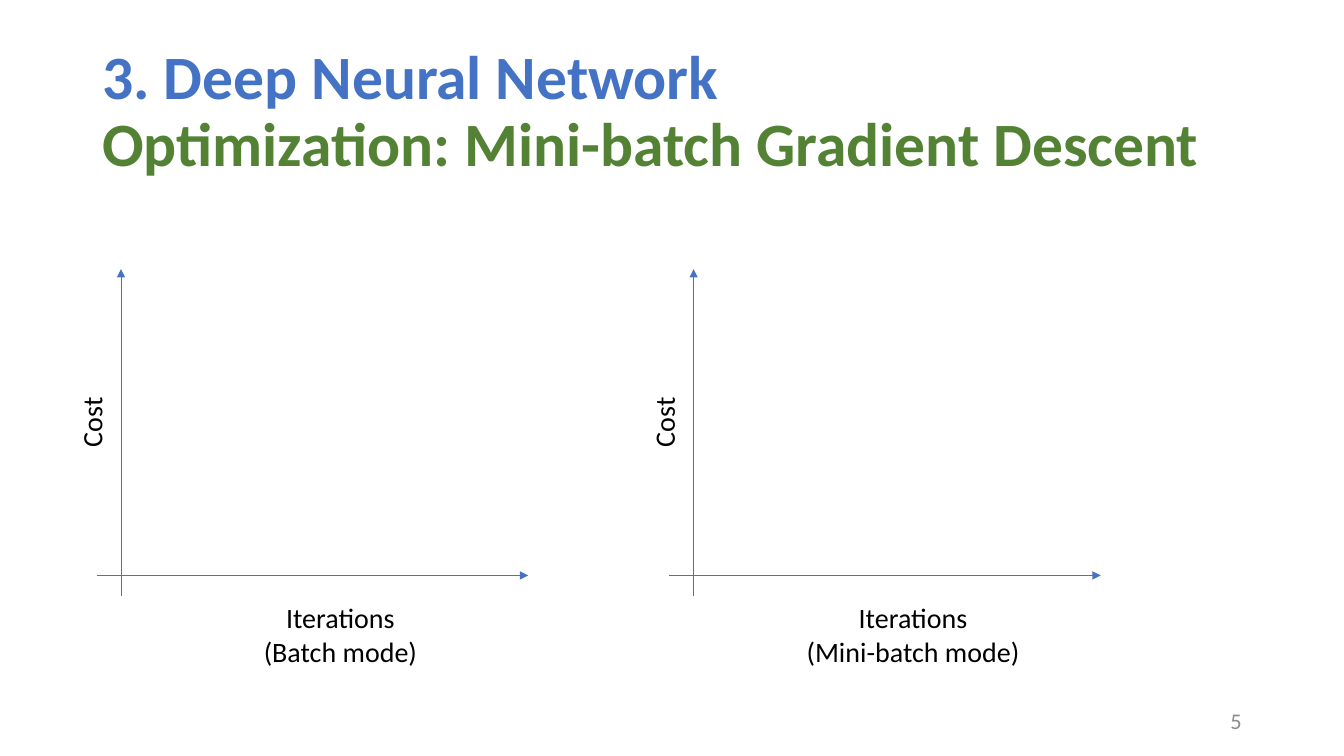
from pptx import Presentation
from pptx.dml.color import RGBColor
from pptx.enum.shapes import MSO_CONNECTOR
from pptx.enum.text import MSO_ANCHOR, MSO_AUTO_SIZE, PP_ALIGN
from pptx.oxml.ns import qn
from pptx.util import Cm, Pt
from lxml.etree import SubElement

BLUE = RGBColor(0x44, 0x72, 0xC4)
GREEN = RGBColor(0x54, 0x82, 0x35)
GRAY = RGBColor(0x8C, 0x8C, 0x8C)
BLACK = RGBColor(0, 0, 0)

AXIS_TOP, AXIS_BOTTOM, BASELINE = 6.78, 15.01, 14.5
LABEL_CENTER = 5.53  # distance from the cost axis


def add_text(shapes, left, top, width, height, text, size, colors,
             align=PP_ALIGN.LEFT, bold=False, wrap=True):
    """Add a text box; the colors are taken in turn by the runs of a paragraph."""
    box = shapes.add_textbox(Cm(left), Cm(top), Cm(width), Cm(height))
    frame = box.text_frame
    frame.word_wrap = wrap
    frame.text = text
    for para in frame.paragraphs:
        para.alignment = align
        for span, color in zip(para.runs, colors):
            span.font.name = "Calibri"
            span.font.size = Pt(size)
            span.font.bold = bold
            span.font.color.rgb = color
    return box


def add_label(shapes, left, top, width, height, text):
    box = add_text(shapes, left, top, width, height, text, 20, [BLACK],
                   PP_ALIGN.CENTER, wrap=False)
    box.text_frame.auto_size = MSO_AUTO_SIZE.SHAPE_TO_FIT_TEXT
    return box


def add_arrow(shapes, x1, y1, x2, y2):
    arrow = shapes.add_connector(MSO_CONNECTOR.STRAIGHT,
                                 Cm(x1), Cm(y1), Cm(x2), Cm(y2))
    arrow.line.color.rgb = BLUE
    arrow.line.width = Pt(0.5)
    SubElement(arrow.line._get_or_add_ln(), qn("a:tailEnd"), type="triangle")
    SubElement(arrow._element.spPr, qn("a:effectLst"))


def add_cost_plot(page, axis, mode, label_width):
    """Add empty cost axes, with the vertical one at x = axis."""
    shapes = page.shapes.add_group_shape().shapes
    add_arrow(shapes, axis, AXIS_BOTTOM, axis, AXIS_TOP)
    add_arrow(shapes, axis - 0.61, BASELINE, axis + 10.26, BASELINE)
    add_label(shapes, axis + LABEL_CENTER - label_width / 2, AXIS_BOTTOM,
              label_width, 1.96, f"Iterations\n({mode})")
    cost = add_label(shapes, axis - 1.63, 10.08, 1.78, 1.12, "Cost")
    cost.rotation = 270


def main():
    deck = Presentation()
    deck.slide_width, deck.slide_height = Cm(33.87), Cm(19.05)
    page = deck.slides.add_slide(deck.slide_layouts[6])

    title = add_text(page.shapes, 2.33, 1.01, 29.21, 3.68,
                     "3. Deep Neural Network\v"
                     "Optimization: Mini-batch Gradient Descent",
                     44, [BLUE, GREEN], bold=True)
    title.text_frame.vertical_anchor = MSO_ANCHOR.MIDDLE
    title.text_frame.paragraphs[0].line_spacing = 0.9

    number = add_text(page.shapes, 23.92, 17.66, 7.62, 1.01, "5", 16, [GRAY],
                      PP_ALIGN.RIGHT)
    number.text_frame.vertical_anchor = MSO_ANCHOR.MIDDLE

    add_cost_plot(page, 3.05, "Batch mode", 4.42)
    add_cost_plot(page, 17.48, "Mini-batch mode", 5.94)

    deck.save("out.pptx")


if __name__ == "__main__":
    main()
